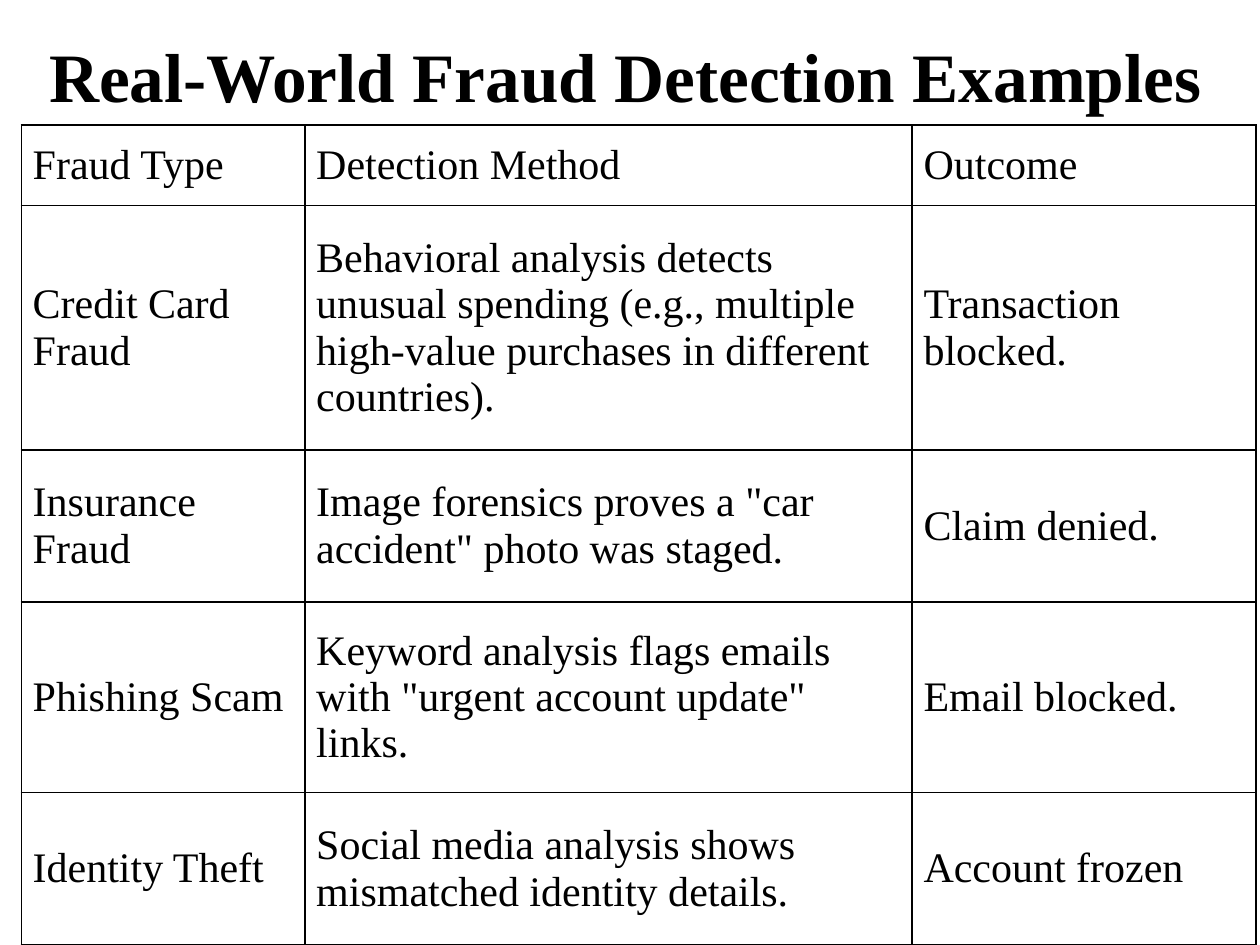
from lxml.etree import SubElement
from pptx import Presentation
from pptx.dml.color import RGBColor
from pptx.enum.text import MSO_ANCHOR, PP_ALIGN
from pptx.oxml.ns import qn
from pptx.util import Inches, Pt

FONT = "Times New Roman"
BLACK, WHITE = "000000", "FFFFFF"
TITLE_FONT = {"name": FONT, "size": Pt(39.6), "bold": True}
CELL_FONT = {"name": FONT, "size": Pt(24), "bold": False}
CELL_FORMAT = {
    "vertical_anchor": MSO_ANCHOR.MIDDLE,
    **{f"margin_{side}": Inches(0.09) for side in ("left", "right", "top", "bottom")},
}
COLUMN_WIDTHS = (2.25, 4.82, 2.73)
ROW_HEIGHTS = (0.64, 1.94, 1.21, 1.51, 1.21)
FRAUD_ROWS = (
    ("Fraud Type", "Detection Method", "Outcome"),
    ("Credit Card Fraud",
     "Behavioral analysis detects unusual spending (e.g., multiple high-value "
     "purchases in different countries).",
     "Transaction blocked."),
    ("Insurance Fraud",
     'Image forensics proves a "car accident" photo was staged.',
     "Claim denied."),
    ("Phishing Scam",
     'Keyword analysis flags emails with "urgent account update" links.',
     "Email blocked."),
    ("Identity Theft",
     "Social media analysis shows mismatched identity details.",
     "Account frozen"),
)


def set_color(color_format, value):
    color_format.rgb = RGBColor.from_string(value)


def apply_format(target, values):
    for name, value in values.items():
        setattr(target, name, value)


def format_font(font, values):
    apply_format(font, values)
    set_color(font.color, BLACK)


def add_borders(cell, color, width):
    properties = cell._tc.get_or_add_tcPr()
    for edge in ("lnL", "lnR", "lnT", "lnB"):
        line = SubElement(properties, qn(f"a:{edge}"), w=str(width))
        fill = SubElement(line, qn("a:solidFill"))
        SubElement(fill, qn("a:srgbClr"), val=color)


def place_title(page, text, left, top, width, height):
    title = page.shapes.title
    apply_format(title, {"left": left, "top": top, "width": width, "height": height})
    frame = title.text_frame
    apply_format(frame, {"word_wrap": True, "vertical_anchor": MSO_ANCHOR.MIDDLE})
    para = frame.paragraphs[0]
    para.alignment = PP_ALIGN.CENTER
    span = para.add_run()
    span.text = text
    format_font(span.font, TITLE_FONT)


def fill_cell(cell, text):
    apply_format(cell, CELL_FORMAT)
    add_borders(cell, BLACK, Pt(1))
    cell.fill.solid()
    set_color(cell.fill.fore_color, WHITE)
    span = cell.text_frame.paragraphs[0].add_run()
    span.text = text
    format_font(span.font, CELL_FONT)


def place_fraud_table(page, left, top, width, height):
    table = page.shapes.add_table(
        len(FRAUD_ROWS), len(COLUMN_WIDTHS), left, top, width, height).table
    apply_format(table, {"first_row": False, "horz_banding": False})
    for column, size in zip(table.columns, COLUMN_WIDTHS):
        column.width = Inches(size)
    for row, size, texts in zip(table.rows, ROW_HEIGHTS, FRAUD_ROWS):
        row.height = Inches(size)
        for cell, text in zip(row.cells, texts):
            fill_cell(cell, text)


def main():
    deck = Presentation()
    apply_format(deck, {"slide_width": Inches(10), "slide_height": Inches(7.5)})
    page = deck.slides.add_slide(deck.slide_layouts.get_by_name("Title Only"))
    place_title(page, "Real-World Fraud Detection Examples",
                Inches(0.2), Inches(0.13), Inches(9.53), Inches(0.93))
    place_fraud_table(page, Inches(0.17), Inches(0.99),
                      Inches(sum(COLUMN_WIDTHS)), Inches(sum(ROW_HEIGHTS)))
    deck.save("out.pptx")


if __name__ == "__main__":
    main()
